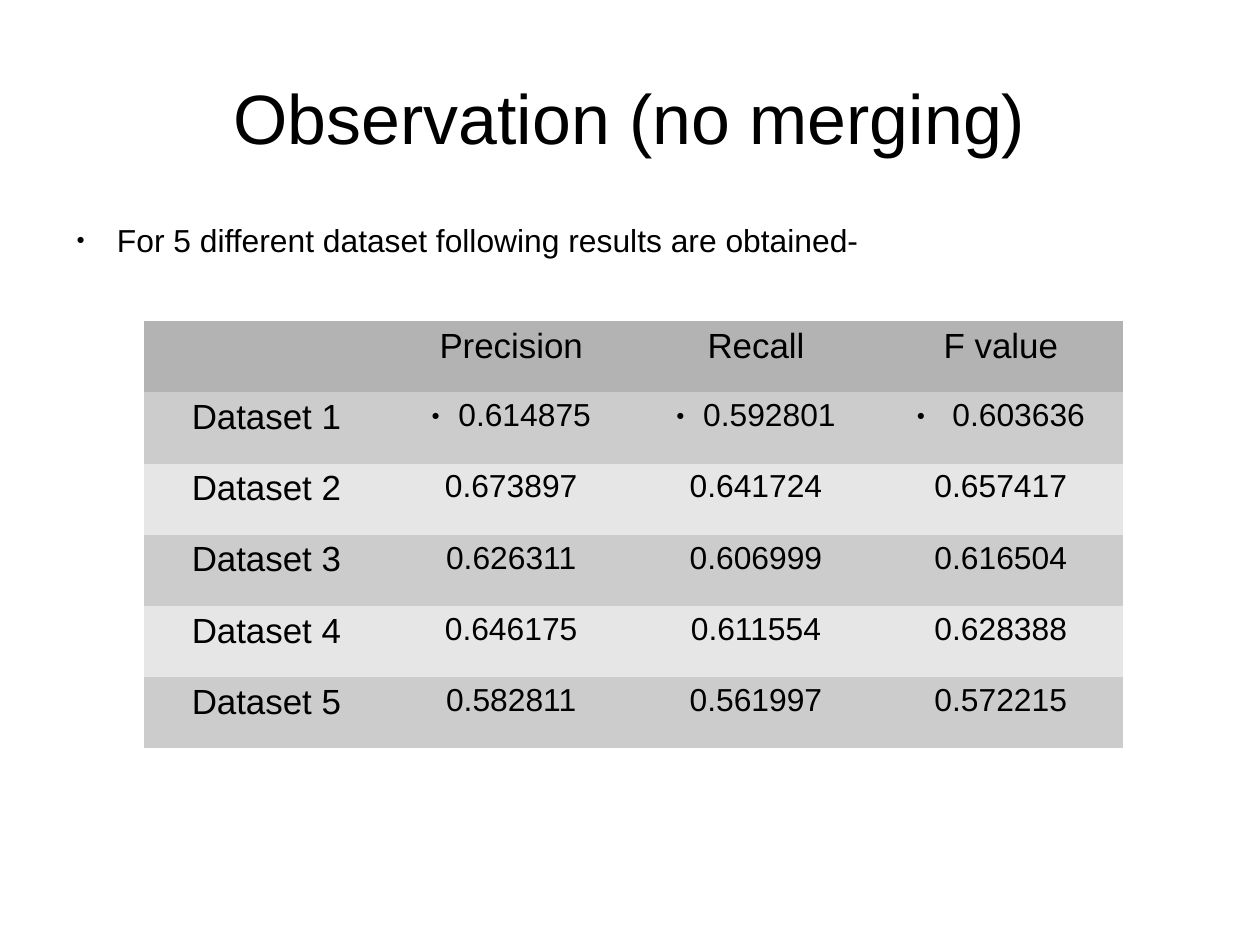
from lxml.etree import SubElement as Sub
from pptx import Presentation
from pptx.dml.color import RGBColor as RGB
from pptx.enum.text import MSO_ANCHOR as Anchor, PP_ALIGN as Align
from pptx.oxml.ns import qn
from pptx.util import Cm, Pt


def write(par, text, size, **form):
    run = par.add_run()
    run.text = text
    font = {"name": "Arial", "size": Pt(size), "bold": False}
    for key, val in font.items():
        setattr(run.font, key, val)
    run.font.color.rgb = RGB.from_string("000000")
    for key, val in form.items():
        setattr(par, key, val)


def bullet(par, left, hang):
    """Give a paragraph a small round bullet; call after its spacing is set."""
    props = par._p.get_or_add_pPr()
    props.set("marL", str(Cm(left)))
    props.set("indent", str(-Cm(hang)))
    tint = Sub(props, qn("a:buClr"))
    Sub(tint, qn("a:srgbClr"), val="000000")
    Sub(props, qn("a:buSzPct"), val="45000")
    Sub(props, qn("a:buFont"), typeface="Arial")
    Sub(props, qn("a:buChar"), char="●")


deck = Presentation()
deck.slide_width, deck.slide_height = Cm(28), Cm(21)
slide = deck.slides.add_slide(deck.slide_layouts[6])

# Title and lead line
frames = []
for top, high, anchor in [(0.84, 3.51, Anchor.MIDDLE), (4.9, 12.17, Anchor.TOP)]:
    box = slide.shapes.add_textbox(Cm(1.4), Cm(top), Cm(25.2), Cm(high))
    form = {"word_wrap": True, "vertical_anchor": anchor, "margin_left": 0,
            "margin_right": 0, "margin_top": 0, "margin_bottom": 0}
    for key, val in form.items():
        setattr(box.text_frame, key, val)
    frames.append(box.text_frame)
title, lead = [frame.paragraphs[0] for frame in frames]
write(title, "Observation (no merging)", 44, alignment=Align.CENTER)
write(lead, "For 5 different dataset following results are obtained-", 20,
      space_after=Pt(14.2))
bullet(lead, 1.2, 0.9)

# Results table
rows = [
    ["", "Precision", "Recall", "F value"],
    ["Dataset 1", "0.614875", "0.592801", " 0.603636"],
    ["Dataset 2", "0.673897", "0.641724", "0.657417"],
    ["Dataset 3", "0.626311", "0.606999", "0.616504"],
    ["Dataset 4", "0.646175", "0.611554", "0.628388"],
    ["Dataset 5", "0.582811", "0.561997", "0.572215"],
]
wide, high = 5.44, 1.58
table = slide.shapes.add_table(len(rows), len(rows[0]), Cm(3.2), Cm(7.14),
                               Cm(wide * len(rows[0])), Cm(high * len(rows))).table
table.first_row = table.horz_banding = False
# "No Style, No Grid" leaves the cells without borders
style = table._tbl.tblPr.find(qn("a:tableStyleId"))
style.text = "{2D5ABB26-0587-4C30-8999-92F81FD0307C}"
for col in table.columns:
    col.width = Cm(wide)
for r, row in enumerate(rows):
    table.rows[r].height = Cm(high)
    fill = "B3B3B3" if r == 0 else ("E6E6E6", "CCCCCC")[r % 2]
    for c, text in enumerate(row):
        cell = table.cell(r, c)
        cell.fill.solid()
        cell.fill.fore_color.rgb = RGB.from_string(fill)
        if text:
            par = cell.text_frame.paragraphs[0]
            write(par, text, 20 if r and c else 22, alignment=Align.CENTER)
            if r == 1 and c:
                bullet(par, 0.6, 0.6)

deck.save("out.pptx")
